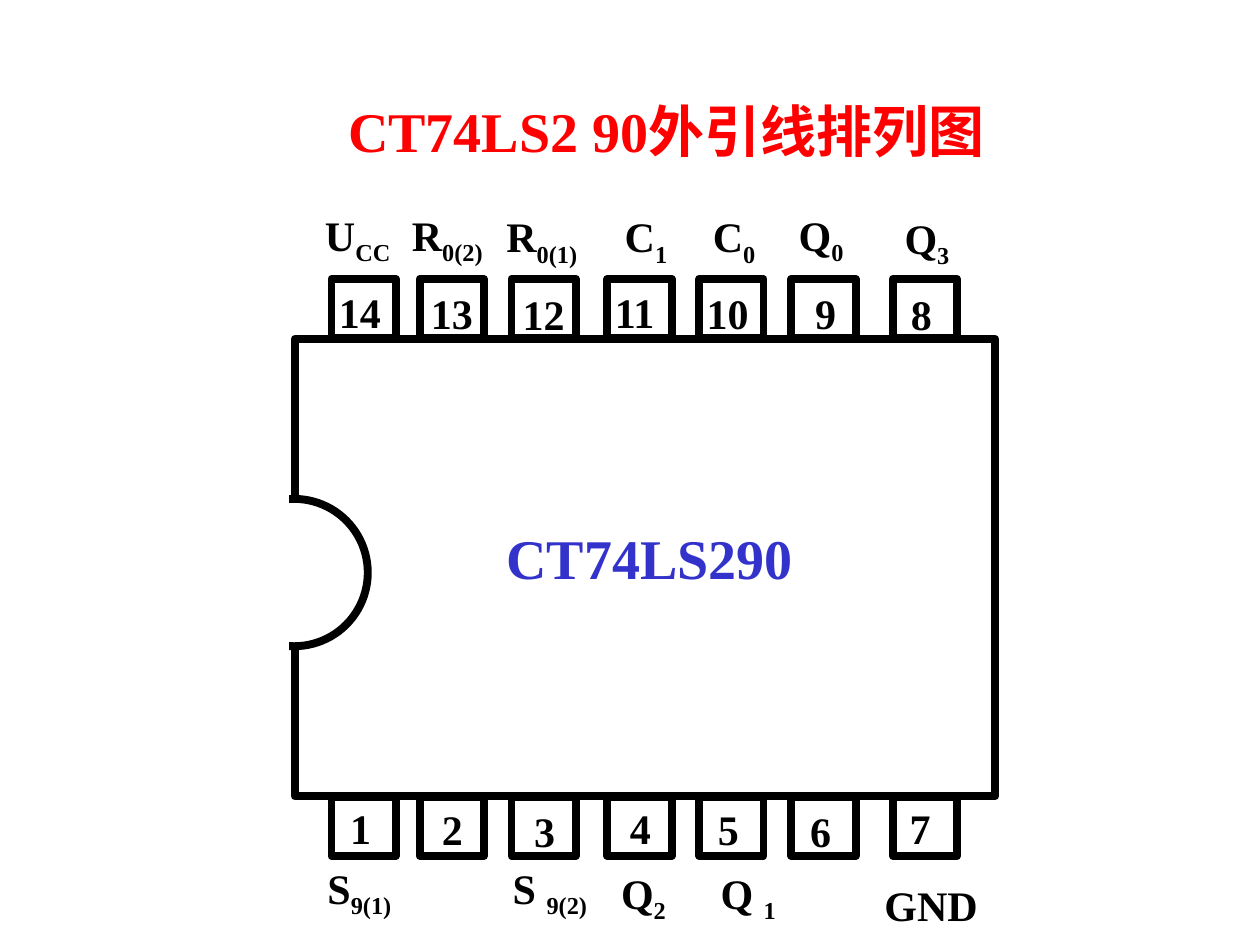
from pptx import Presentation
from pptx.dml.color import RGBColor
from pptx.enum.shapes import MSO_SHAPE
from pptx.enum.text import MSO_ANCHOR, MSO_AUTO_SIZE, PP_ALIGN
from pptx.util import Pt

RECTANGLE, OVAL = MSO_SHAPE.RECTANGLE, MSO_SHAPE.OVAL
MIDDLE, NO_AUTOFIT = MSO_ANCHOR.MIDDLE, MSO_AUTO_SIZE.NONE
LEFT, CENTER = PP_ALIGN.LEFT, PP_ALIGN.CENTER

FONT = "Times New Roman"
BLACK, WHITE, RED, BLUE = "000000", "FFFFFF", "FF0000", "3333CC"
PIN_WIDTH, PIN_HEIGHT = 36.7, 33.8
LABEL_HEIGHT, NUMBER_HEIGHT = 40.3, 36
PIN_LEFTS = (20.9, 71.3, 123.8, 178.6, 231.1, 283.7, 341.7)

# Offsets from the chip's left side and from the edge the pins stand on.
# Numbers: text, left, top. Labels: letter, subscript, left, top, width.
TOP_NUMBERS = (
    ("14", 18, -33.8), ("13", 70.6, -33.1), ("12", 123.1, -32.4),
    ("11", 175.7, -33.8), ("10", 228.2, -33.1), ("9", 290.2, -33.1),
    ("8", 344.9, -32.4),
)
TOP_LABELS = (
    ("U", "CC", 10.1, -77.8, 72.7), ("R", "0(2)", 59.8, -77.8, 77.8),
    ("R", "0(1)", 113.8, -77, 77.8), ("C", "1", 181.4, -77, 67.7),
    ("C", "0", 231.8, -77, 67.7), ("Q", "0", 280.8, -77.8, 67.7),
    ("Q", "3", 341.3, -76.3, 67.7),
)
BOTTOM_NUMBERS = (
    ("1", 24.5, 0), ("2", 77, 0.7), ("3", 129.6, 1.4), ("4", 184.3, 0),
    ("5", 234.7, 0.7), ("6", 287.3, 1.4), ("7", 344.2, 0),
)
BOTTOM_LABELS = (
    ("S", "9(1)", 11.5, 33.8, 68.4), ("S ", "9(2)", 117.4, 33.8, 84.2),
    ("Q", "2", 179.3, 36.7, 64), ("Q ", "1", 236.2, 36.7, 84.2),
    ("GND", "", 329.8, 41.8, 84.2),
)


def color(value):
    return RGBColor.from_string(value)


def write(shape, text, subscript="", size=24, ink=BLACK, align=LEFT):
    frame = shape.text_frame
    frame.word_wrap = True
    frame.auto_size = NO_AUTOFIT
    frame.vertical_anchor = MIDDLE
    frame.margin_left = frame.margin_right = Pt(7.2)
    frame.margin_top = frame.margin_bottom = Pt(3.6)
    paragraph = frame.paragraphs[0]
    paragraph.alignment = align
    paragraph.space_before = Pt(0)
    paragraph.line_spacing = 1.0
    for part, baseline in ((text, None), (subscript, "-25000")):
        if not part:
            continue
        run = paragraph.add_run()
        run.text = part
        run.font.name = FONT
        run.font.size = Pt(size)
        run.font.bold = True
        run.font.color.rgb = color(ink)
        if baseline:
            run._r.get_or_add_rPr().set("baseline", baseline)


def add_text(slide, left, top, width, height, text, **text_format):
    box = slide.shapes.add_textbox(Pt(left), Pt(top), Pt(width), Pt(height))
    write(box, text, **text_format)


def add_outline(slide, kind, left, top, width, height, fill=None,
                line=BLACK, line_width=4.5):
    shape = slide.shapes.add_shape(kind, Pt(left), Pt(top), Pt(width), Pt(height))
    shape.shadow.inherit = False
    if fill:
        shape.fill.solid()
        shape.fill.fore_color.rgb = color(fill)
    else:
        shape.fill.background()
    shape.line.color.rgb = color(line)
    shape.line.width = Pt(line_width)


def add_title(slide, left, top, width, height):
    title = slide.shapes.title
    title.left, title.top = Pt(left), Pt(top)
    title.width, title.height = Pt(width), Pt(height)
    write(title, "CT74LS2 90外引线排列图", size=32, ink=RED, align=CENTER)


def add_pin_row(slide, left, edge, pin_top, numbers, labels):
    """Draw pins at pin_top, with texts placed from the chip edge."""
    for pin_left in PIN_LEFTS:
        add_outline(slide, RECTANGLE, left + pin_left, pin_top, PIN_WIDTH, PIN_HEIGHT)
    for number, x, y in numbers:
        width = 49.7 if len(number) == 2 else 33.8
        add_text(slide, left + x, edge + y, width, NUMBER_HEIGHT, number)
    for letter, subscript, x, y, width in labels:
        add_text(slide, left + x, edge + y, width, LABEL_HEIGHT, letter,
                 subscript=subscript)


def add_chip(slide, left, top, width, height):
    bottom = top + height
    add_pin_row(slide, left, top, top - PIN_HEIGHT - 0.5, TOP_NUMBERS, TOP_LABELS)
    add_pin_row(slide, left, bottom, bottom + 0.3, BOTTOM_NUMBERS, BOTTOM_LABELS)
    add_outline(slide, RECTANGLE, left, top, width, height)
    add_text(slide, left + 113.8, top + 101.5, 178.6, 46.1, "CT74LS290",
             size=32, ink=BLUE)
    # The notch is a circle whose outer half is covered in white.
    add_outline(slide, OVAL, left - 42.5, top + 91.4, 84.2, 84.2, fill=WHITE)
    add_outline(slide, RECTANGLE, left - 57.6, top + 54, 54, 180,
                fill=WHITE, line=WHITE, line_width=0.75)


def main():
    presentation = Presentation()
    presentation.slide_width, presentation.slide_height = Pt(720), Pt(540)
    slide = presentation.slides.add_slide(presentation.slide_layouts[5])
    add_title(slide, 180, 51.1, 401.8, 46.1)
    add_chip(slide, 168.5, 193.7, 400.3, 261.4)
    presentation.save("out.pptx")


if __name__ == "__main__":
    main()
